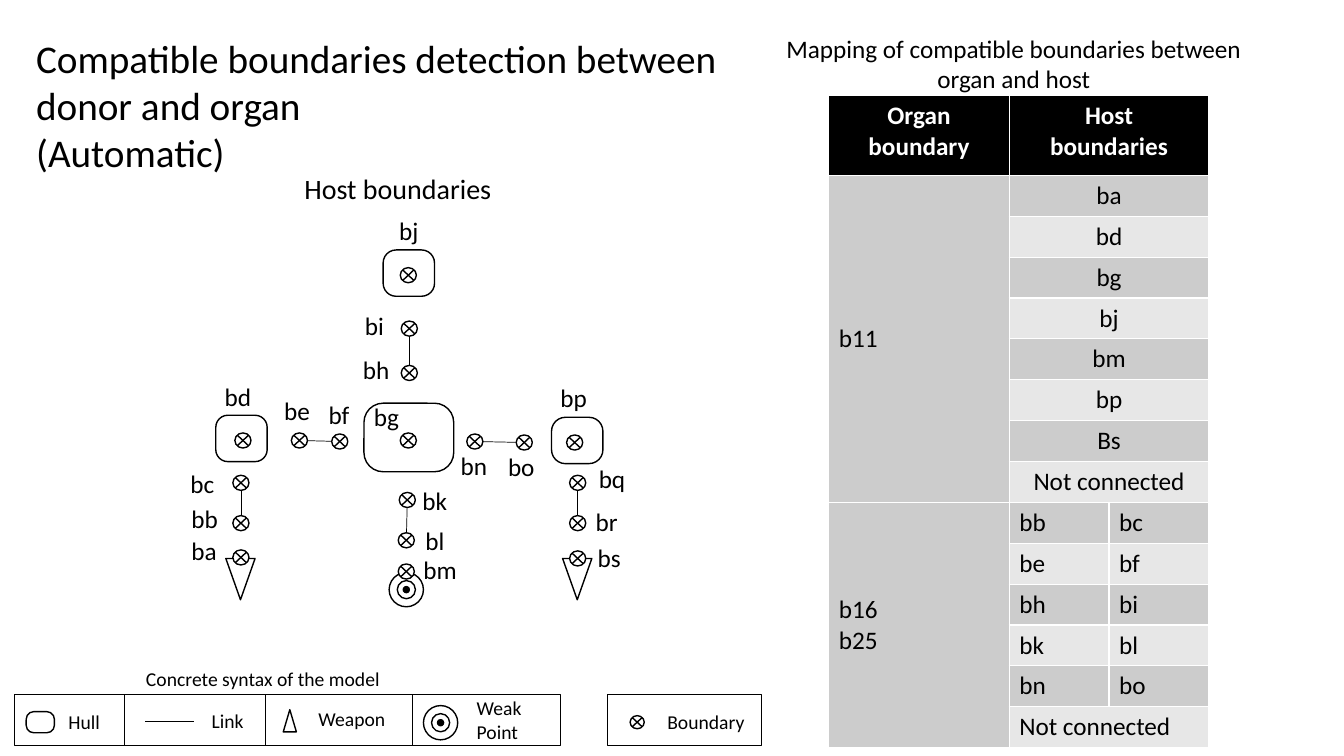
import dataclasses
import typing

import lxml.etree
import pptx
import pptx.dml.color
import pptx.enum.shapes
import pptx.enum.text
import pptx.oxml.ns
import pptx.util

BLACK = pptx.dml.color.RGBColor(0x00, 0x00, 0x00)
WHITE = pptx.dml.color.RGBColor(0xFF, 0xFF, 0xFF)
DARK_BAND = pptx.dml.color.RGBColor(0xCC, 0xCC, 0xCC)
LIGHT_BAND = pptx.dml.color.RGBColor(0xE7, 0xE7, 0xE7)
FONT = "Calibri"
GRID_STEP = 0.1

SHAPES = pptx.enum.shapes.MSO_SHAPE
LEFT = pptx.enum.text.PP_ALIGN.LEFT
CENTER = pptx.enum.text.PP_ALIGN.CENTER
MIDDLE = pptx.enum.text.MSO_ANCHOR.MIDDLE
TOP = pptx.enum.text.MSO_ANCHOR.TOP


@dataclasses.dataclass(frozen=True)
class Boundary:
    col: float
    row: float
    label_col: float
    label_row: float


@dataclasses.dataclass(frozen=True)
class Symbol:
    kind: SHAPES
    col: float
    row: float
    cols: float
    rows: float
    corner: float = 0
    rotation: float = 0


@dataclasses.dataclass(frozen=True)
class Caption:
    lines: tuple[str, ...]
    col: float
    row: float
    cols: float
    rows: float
    size: float = 14
    wrap: bool = True
    align: pptx.enum.text.PP_ALIGN = LEFT


BOUNDARIES = {
    "ba": Boundary(23.9, 55.3, 18.0, 52.6),
    "bb": Boundary(23.9, 51.9, 18.0, 49.4),
    "bc": Boundary(23.9, 47.9, 17.9, 46.0),
    "bd": Boundary(24.1, 43.7, 21.3, 37.3),
    "be": Boundary(29.7, 43.7, 27.2, 38.7),
    "bf": Boundary(33.7, 43.8, 31.6, 39.1),
    "bg": Boundary(40.5, 43.7, 36.1, 39.3),
    "bh": Boundary(40.6, 37.0, 35.0, 34.7),
    "bi": Boundary(40.6, 32.6, 35.2, 30.3),
    "bj": Boundary(40.5, 27.3, 38.6, 20.9),
    "bk": Boundary(40.4, 49.6, 40.9, 47.7),
    "bl": Boundary(40.3, 53.6, 41.2, 51.6),
    "bm": Boundary(40.3, 56.7, 41.0, 54.5),
    "bn": Boundary(47.1, 43.8, 44.7, 44.2),
    "bo": Boundary(52.0, 43.9, 49.4, 44.3),
    "bp": Boundary(57.0, 43.9, 54.6, 37.4),
    "bq": Boundary(57.3, 47.9, 58.4, 45.5),
    "br": Boundary(57.3, 51.9, 58.1, 49.7),
    "bs": Boundary(57.3, 55.4, 58.3, 53.3),
}
MAPPED_LINKS = [("bb", "bc"), ("be", "bf"), ("bh", "bi"), ("bk", "bl"), ("bn", "bo")]
HOST_LINKS = MAPPED_LINKS + [("bq", "br")]
MAPPED_HOSTS = ["ba", "bd", "bg", "bj", "bm", "bp", "Bs", "Not connected"]

HOST_PARTS = [
    Symbol(SHAPES.ROUNDED_RECTANGLE, 36.1, 40.0, 8.9, 6.8, 0.28),
    Symbol(SHAPES.ROUNDED_RECTANGLE, 54.7, 41.4, 5.1, 4.6, 0.3),
    Symbol(SHAPES.ROUNDED_RECTANGLE, 38.0, 24.8, 5.1, 4.6, 0.28),
    Symbol(SHAPES.ROUNDED_RECTANGLE, 21.4, 41.2, 5.1, 4.6, 0.26),
    Symbol(SHAPES.ISOSCELES_TRIANGLE, 22.4, 55.4, 2.9, 4.1, rotation=180),
    Symbol(SHAPES.ISOSCELES_TRIANGLE, 55.8, 55.4, 2.9, 4.1, rotation=180),
]
LEGEND_FRAMES = [
    Symbol(SHAPES.RECTANGLE, 1.4, 68.9, 54.2, 5.1),
    Symbol(SHAPES.RECTANGLE, 60.3, 68.9, 15.2, 5.1),
]
LEGEND_SYMBOLS = [
    Symbol(SHAPES.ROUNDED_RECTANGLE, 2.6, 70.6, 2.8, 2.1, 0.36),
    Symbol(SHAPES.ISOSCELES_TRIANGLE, 28.1, 70.4, 1.3, 2.2),
    Symbol(SHAPES.FLOWCHART_SUMMING_JUNCTION, 62.5, 71.0, 1.4, 1.3),
]
LEGEND_DIVIDERS = [12.3, 26.3, 40.9]
CAPTIONS = [
    Caption(("Compatible boundaries detection between", "donor and organ\v(Automatic)"),
            2.6, 2.9, 71.1, 15.1, 28, False),
    Caption(("Mapping of compatible boundaries between organ and host",),
            76.8, 2.8, 47.5, 7.1, 18, align=CENTER),
    Caption(("Host boundaries",), 29.2, 16.5, 20.7, 4.4, 20, False),
    Caption(("Concrete syntax of the model",), 13.5, 65.7, 25.4, 3.4, wrap=False),
    Caption(("Hull",), 5.8, 69.9, 6.6, 3.4),
    Caption(("Link",), 20.0, 69.8, 7.5, 3.4),
    Caption(("Weapon",), 30.6, 69.6, 8.7, 3.4, wrap=False),
    Caption(("Weak Point",), 46.3, 68.6, 8.8, 5.7),
    Caption(("Boundary",), 65.2, 69.9, 10.3, 3.4),
]


def grid(steps: float) -> pptx.util.Length:
    return pptx.util.Inches(steps * GRID_STEP)


def write(frame: typing.Any, lines: typing.Sequence[str], size: float,
          align: pptx.enum.text.PP_ALIGN, color: pptx.dml.color.RGBColor = BLACK,
          bold: bool = False) -> None:
    frame.text = "\n".join(lines)
    for paragraph in frame.paragraphs:
        paragraph.alignment = align
        paragraph.font.name = FONT
        paragraph.font.size = pptx.util.Pt(size)
        paragraph.font.bold = bold
        paragraph.font.color.rgb = color


def draw_caption(slide: typing.Any, caption: Caption) -> None:
    box = slide.shapes.add_textbox(*map(grid, (caption.col, caption.row, caption.cols, caption.rows)))
    box.text_frame.word_wrap = caption.wrap
    write(box.text_frame, caption.lines, caption.size, caption.align)


def draw_symbol(slide: typing.Any, symbol: Symbol, line_width: float = 1,
                fill: typing.Optional[pptx.dml.color.RGBColor] = WHITE) -> None:
    shape = slide.shapes.add_shape(
        symbol.kind, *map(grid, (symbol.col, symbol.row, symbol.cols, symbol.rows)))
    shape.shadow.inherit = False
    shape.rotation = symbol.rotation
    if symbol.corner:
        shape.adjustments[0] = symbol.corner
    if fill is None:
        shape.fill.background()
    else:
        shape.fill.solid()
        shape.fill.fore_color.rgb = fill
    shape.line.color.rgb = BLACK
    shape.line.width = pptx.util.Pt(line_width)


def draw_line(slide: typing.Any, *ends: float) -> None:
    line = slide.shapes.add_connector(pptx.enum.shapes.MSO_CONNECTOR.STRAIGHT, *map(grid, ends))
    line.line.color.rgb = BLACK
    line.line.width = pptx.util.Pt(0.5)
    lxml.etree.SubElement(line._element.spPr, pptx.oxml.ns.qn("a:effectLst"))


def draw_weak_point(slide: typing.Any, col: float, row: float) -> None:
    for diameter, fill in ((3.4, WHITE), (1.8, WHITE), (0.6, BLACK)):
        draw_symbol(slide, Symbol(SHAPES.OVAL, col - diameter / 2, row - diameter / 2,
                                  diameter, diameter), fill=fill)


def draw_boundary(slide: typing.Any, name: str, boundary: Boundary) -> None:
    draw_caption(slide, Caption((name,), boundary.label_col, boundary.label_row, 6.5, 4.0, 18))
    draw_symbol(slide, Symbol(SHAPES.FLOWCHART_SUMMING_JUNCTION,
                              boundary.col - 0.8, boundary.row - 0.75, 1.6, 1.5))


def fill_cell(cell: typing.Any, lines: typing.Sequence[str], fill: pptx.dml.color.RGBColor,
              align: pptx.enum.text.PP_ALIGN = LEFT, header: bool = False) -> None:
    write(cell.text_frame, lines, 18, align, WHITE if header else BLACK, header)
    cell.vertical_anchor = TOP if header else MIDDLE
    cell.fill.solid()
    cell.fill.fore_color.rgb = fill


def draw_mapping(slide: typing.Any) -> None:
    first_link_row = 1 + len(MAPPED_HOSTS)
    last_row = first_link_row + len(MAPPED_LINKS)
    mapping = slide.shapes.add_table(last_row + 1, 3, *map(grid, (82.2, 9.5, 37.7, 64.6))).table
    for column, cols in zip(mapping.columns, (17.9, 9.9, 9.9)):
        column.width = grid(cols)
    for index, row in enumerate(mapping.rows):
        row.height = grid(4.05 if index else 7.9)
    for index in [*range(first_link_row), last_row]:
        mapping.cell(index, 1).merge(mapping.cell(index, 2))
    mapping.cell(1, 0).merge(mapping.cell(first_link_row - 1, 0))
    mapping.cell(first_link_row, 0).merge(mapping.cell(last_row, 0))

    fill_cell(mapping.cell(0, 0), ["Organ boundary"], BLACK, CENTER, True)
    fill_cell(mapping.cell(0, 1), ["Host\vboundaries"], BLACK, CENTER, True)
    fill_cell(mapping.cell(1, 0), ["b11"], DARK_BAND)
    fill_cell(mapping.cell(first_link_row, 0), ["b16", "b25"], DARK_BAND)
    hosts = [(host,) for host in MAPPED_HOSTS]
    for index, names in enumerate(hosts + MAPPED_LINKS + [("Not connected",)], start=1):
        for col, name in enumerate(names, start=1):
            fill_cell(mapping.cell(index, col), [name], DARK_BAND if index % 2 else LIGHT_BAND,
                      CENTER if index < first_link_row else LEFT)


def main() -> None:
    deck = pptx.Presentation()
    deck.slide_width, deck.slide_height = pptx.util.Inches(13.33), pptx.util.Inches(7.5)
    slide = deck.slides.add_slide(deck.slide_layouts[6])
    draw_mapping(slide)
    for frame in LEGEND_FRAMES:
        draw_symbol(slide, frame, 0.75, None)
    for col in LEGEND_DIVIDERS:
        draw_line(slide, col, 68.9, col, 74.0)
    draw_line(slide, 14.4, 71.6, 19.2, 71.6)
    for symbol in LEGEND_SYMBOLS + HOST_PARTS:
        draw_symbol(slide, symbol)
    draw_weak_point(slide, 43.7, 71.7)
    draw_weak_point(slide, 40.3, 58.5)
    for start, end in HOST_LINKS:
        head, tail = BOUNDARIES[start], BOUNDARIES[end]
        draw_line(slide, head.col, head.row, tail.col, tail.row)
    for name, boundary in BOUNDARIES.items():
        draw_boundary(slide, name, boundary)
    for caption in CAPTIONS:
        draw_caption(slide, caption)
    deck.save("out.pptx")


if __name__ == "__main__":
    main()
